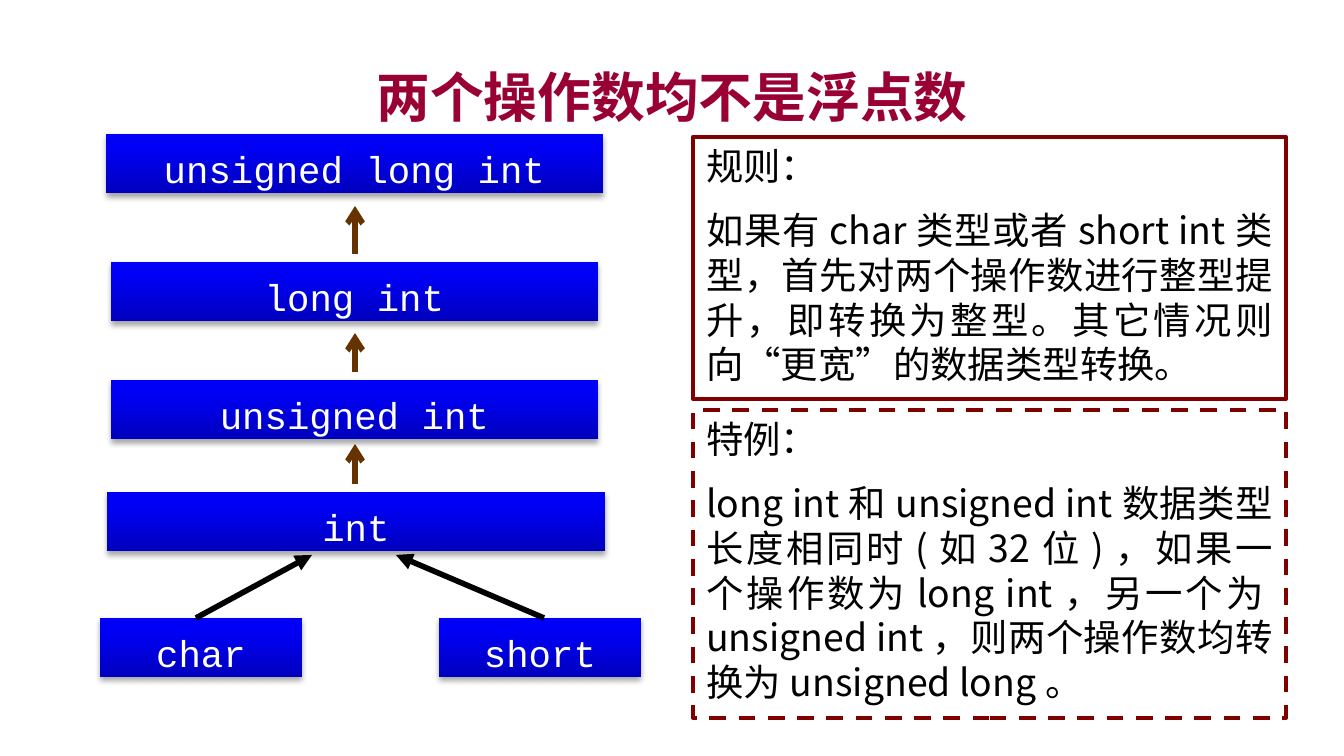
from dataclasses import dataclass

from lxml.etree import SubElement
from pptx import Presentation
from pptx.dml.color import RGBColor
from pptx.enum.dml import MSO_LINE
from pptx.enum.shapes import MSO_CONNECTOR, MSO_SHAPE
from pptx.enum.text import MSO_ANCHOR, PP_ALIGN
from pptx.oxml.ns import qn
from pptx.util import Emu, Pt


@dataclass(frozen=True)
class Theme:
    title: str = "990033"
    ink: str = "000000"
    paper: str = "FFFFFF"
    box_dark: str = "0000BE"
    box_light: str = "0000F7"
    arrow: str = "663300"
    frame: str = "800000"
    sans: str = "Noto Sans CJK SC"
    mono: str = "Courier New"
    title_size: float = 28.8
    body_size: int = 20
    body_line: int = 24
    para_gap: int = 10
    arrow_width: int = 3
    frame_width: float = 2.25


def px(n):
    return Emu(round(n * 9144000 / 1344))


def rgb(code):
    return RGBColor.from_string(code)


class Deck:
    def __init__(self, theme):
        self.t = theme
        self.prs = Presentation()
        self.prs.slide_width, self.prs.slide_height = px(1344), px(756)
        self.s = self.prs.slides.add_slide(self.prs.slide_layouts[5])

    def style(self, p, font, size, color, align, bold=False):
        p.alignment = align
        p.font.size, p.font.bold = Pt(size), bold
        p.font.color.rgb = rgb(color)
        p.font.name = font
        props = p._p.get_or_add_pPr().find(qn("a:defRPr"))
        SubElement(props, qn("a:ea")).set("typeface", font)

    def title(self, text, x, y, w, h):
        sp = self.s.shapes.title
        sp.left, sp.top, sp.width, sp.height = map(px, (x, y, w, h))
        tf = sp.text_frame
        tf.text = text
        tf.vertical_anchor = MSO_ANCHOR.MIDDLE
        self.style(tf.paragraphs[0], self.t.sans, self.t.title_size,
                   self.t.title, PP_ALIGN.CENTER, bold=True)

    def rect(self, x, y, w, h):
        sp = self.s.shapes.add_shape(MSO_SHAPE.RECTANGLE, *map(px, (x, y, w, h)))
        sp.shadow.inherit = False
        sp.text_frame.word_wrap = True
        sp.text_frame.vertical_anchor = MSO_ANCHOR.TOP
        return sp

    def type_box(self, text, x, y, w, h=59):
        sp = self.rect(x, y, w, h)
        sp.line.fill.background()
        sp.fill.gradient()
        sp.fill.gradient_angle = 90
        stops = ((0, self.t.box_dark), (0.8, self.t.box_light))
        for stop, (position, color) in zip(sp.fill.gradient_stops, stops):
            stop.position, stop.color.rgb = position, rgb(color)
        self.drop_shadow(sp)
        tf = sp.text_frame
        tf.margin_top = px(12)
        tf.text = text
        self.style(tf.paragraphs[0], self.t.mono, self.t.body_size,
                   self.t.paper, PP_ALIGN.CENTER)

    def drop_shadow(self, sp):
        effects = sp._element.spPr.find(qn("a:effectLst"))
        shadow = SubElement(effects, qn("a:outerShdw"), blurRad="40000",
                            dist="23000", dir="5400000", rotWithShape="0")
        color = SubElement(shadow, qn("a:srgbClr"), val=self.t.ink)
        SubElement(color, qn("a:alpha"), val="35000")

    def arrow(self, start, end, color, head):
        line = self.s.shapes.add_connector(
            MSO_CONNECTOR.STRAIGHT, *map(px, (*start, *end)))
        line.line.color.rgb = rgb(color)
        line.line.width = Pt(self.t.arrow_width)
        SubElement(line.line._get_or_add_ln(), qn("a:tailEnd"), type=head)
        SubElement(line._element.spPr, qn("a:effectLst"))

    def note(self, heading, body, x, y, w, h, dash=None):
        sp = self.rect(x, y, w, h)
        sp.fill.solid()
        sp.fill.fore_color.rgb = rgb(self.t.paper)
        sp.line.color.rgb = rgb(self.t.frame)
        sp.line.width = Pt(self.t.frame_width)
        if dash:
            sp.line.dash_style = dash
        tf = sp.text_frame
        tf.text = f"{heading}\n{body}"
        for p, align in zip(tf.paragraphs, (PP_ALIGN.LEFT, PP_ALIGN.JUSTIFY)):
            p.line_spacing = Pt(self.t.body_line)
            self.style(p, self.t.sans, self.t.body_size, self.t.ink, align)
        tf.paragraphs[1].space_before = Pt(self.t.para_gap)


def main():
    t = Theme()
    d = Deck(t)
    d.title("两个操作数均不是浮点数", 101, 59, 1142, 75)

    # Integer types, widest at the top
    for text, x, y, w in (
        ("unsigned long int", 106, 134, 497),
        ("long int", 111, 262, 487),
        ("unsigned int", 111, 380, 487),
        ("int", 107, 492, 498),
        ("char", 100, 618, 202),
        ("short", 439, 618, 202),
    ):
        d.type_box(text, x, y, w)

    # Conversions up the column
    for bottom, top in ((254, 206), (372, 333), (484, 444)):
        d.arrow((355, bottom), (355, top), t.arrow, "arrow")

    # Integer promotions into int
    for start_x, end_x in ((196, 312), (544, 396)):
        d.arrow((start_x, 618), (end_x, 555), t.ink, "triangle")

    # Rule and special case
    d.note("规则：",
           "如果有char类型或者short int类型，首先对两个操作数进行整型提升，"
           "即转换为整型。其它情况则向“更宽”的数据类型转换。",
           693, 137, 593, 262)
    d.note("特例：",
           "long int和unsigned int数据类型长度相同时(如32位)，如果一个操作数为"
           "long int，另一个为unsigned int，则两个操作数均转换为unsigned long。",
           693, 410, 593, 308, dash=MSO_LINE.DASH)

    d.prs.save("out.pptx")


if __name__ == "__main__":
    main()
